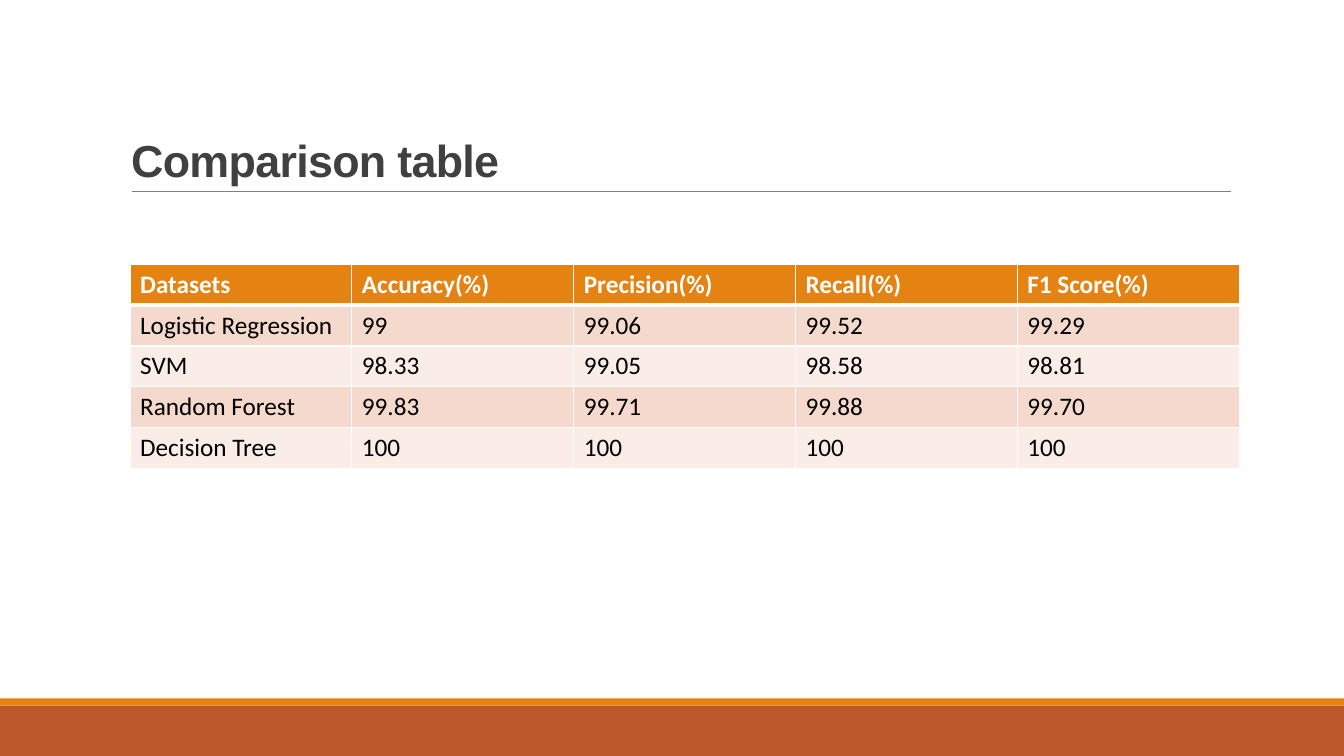
import pptx
import pptx.util
import pptx.dml.color
import pptx.enum.shapes
import pptx.enum.text
import pptx.oxml
import pptx.oxml.ns
import lxml.etree

Inches = pptx.util.Inches
Pt = pptx.util.Pt
RGBColor = pptx.dml.color.RGBColor

WHITE = RGBColor(0xFF, 0xFF, 0xFF)
BLACK = RGBColor(0, 0, 0)
DARK = RGBColor(0x40, 0x40, 0x40)
GREY = RGBColor(0x80, 0x80, 0x80)
RUST = RGBColor(0xBD, 0x58, 0x2C)
ORANGE = RGBColor(0xE4, 0x83, 0x12)
PEACH = RGBColor(0xF5, 0xD9, 0xCC)
PALE = RGBColor(0xFA, 0xED, 0xE7)

TITLE = {"name": "Arial", "size": Pt(32), "bold": True}
HEAD = {"name": "Calibri", "size": Pt(18), "bold": True}
BODY = {"name": "Calibri", "size": Pt(18), "bold": False}

SCORES = [
    ["Datasets", "Accuracy(%)", "Precision(%)", "Recall(%)", "F1 Score(%)"],
    ["Logistic Regression", "99", "99.06", "99.52", "99.29"],
    ["SVM", "98.33", "99.05", "98.58", "98.81"],
    ["Random Forest", "99.83", "99.71", "99.88", "99.70"],
    ["Decision Tree", "100", "100", "100", "100"],
]


def style(font, form, color):
    for key, value in form.items():
        setattr(font, key, value)
    font.color.rgb = color


def add_band(slide, box, color):
    band = slide.shapes.add_shape(
        pptx.enum.shapes.MSO_SHAPE.RECTANGLE, *map(Inches, box))
    band.shadow.inherit = False
    band.fill.solid()
    band.fill.fore_color.rgb = color
    band.line.fill.background()


def add_foot(slide, box):
    """Fill the box with a thin orange strip above a rust band."""
    left, top, width, height = box
    strip = 0.07
    add_band(slide, (left, top + strip, width, height - strip), RUST)
    add_band(slide, (left, top, width, strip), ORANGE)


def add_title(slide, box, text):
    """Set the title at the foot of the box, with a rule below it."""
    left, top, width, height = box
    base = top + height
    rule = slide.shapes.add_connector(
        pptx.enum.shapes.MSO_CONNECTOR.STRAIGHT,
        Inches(left + 0.11), Inches(base),
        Inches(left + width + 0.01), Inches(base))
    rule.line.color.rgb = GREY
    rule.line.width = Pt(0.5)
    props = rule._element.spPr
    lxml.etree.SubElement(props, pptx.oxml.ns.qn("a:effectLst"))

    title = slide.shapes.title
    title.left, title.top, title.width, title.height = map(Inches, box)
    frame = title.text_frame
    frame.text = text
    frame.word_wrap = True
    frame.auto_size = pptx.enum.text.MSO_AUTO_SIZE.NONE
    frame.vertical_anchor = pptx.enum.text.MSO_ANCHOR.BOTTOM
    para = frame.paragraphs[0]
    para.alignment = pptx.enum.text.PP_ALIGN.LEFT
    para.line_spacing = 0.85
    run = para.runs[0]
    style(run.font, TITLE, DARK)
    run.font._element.set("spc", "-50")


def add_edges(cell, widths):
    """Draw white cell borders; widths maps each side to points."""
    props = cell._tc.get_or_add_tcPr()
    for place, (side, width) in enumerate(widths.items()):
        edge = pptx.oxml.parse_xml(
            f'<a:ln{side} {pptx.oxml.ns.nsdecls("a")} w="{Pt(width)}">'
            f'<a:solidFill><a:srgbClr val="{WHITE}"/></a:solidFill>'
            f'</a:ln{side}>')
        props.insert(place, edge)


def add_scores(slide, box, data):
    left, top, width, height = box
    count = len(data[0])
    table = slide.shapes.add_table(
        len(data), count, *map(Inches, box)).table
    for col in table.columns:
        col.width = Inches(width / count)
    for i, line in enumerate(data):
        table.rows[i].height = Inches(height / len(data))
        head = i == 0
        fill = ORANGE if head else PEACH if i % 2 else PALE
        form, color = (HEAD, WHITE) if head else (BODY, BLACK)
        edges = {"L": 1, "R": 1, "T": 3 if i == 1 else 1,
                 "B": 3 if head else 1}
        for j, text in enumerate(line):
            cell = table.cell(i, j)
            cell.text = text
            cell.fill.solid()
            cell.fill.fore_color.rgb = fill
            style(cell.text_frame.paragraphs[0].runs[0].font, form, color)
            add_edges(cell, edges)


def main():
    deck = pptx.Presentation()
    deck.slide_width = Inches(13.33)
    deck.slide_height = Inches(7.5)
    slide = deck.slides.add_slide(deck.slide_layouts[5])
    add_foot(slide, (0, 6.93, 13.33, 0.57))
    add_title(slide, (1.2, 0.31, 11, 1.59), "Comparison table")
    add_scores(slide, (1.29, 2.62, 11, 2.03), SCORES)
    deck.save("out.pptx")


if __name__ == "__main__":
    main()
